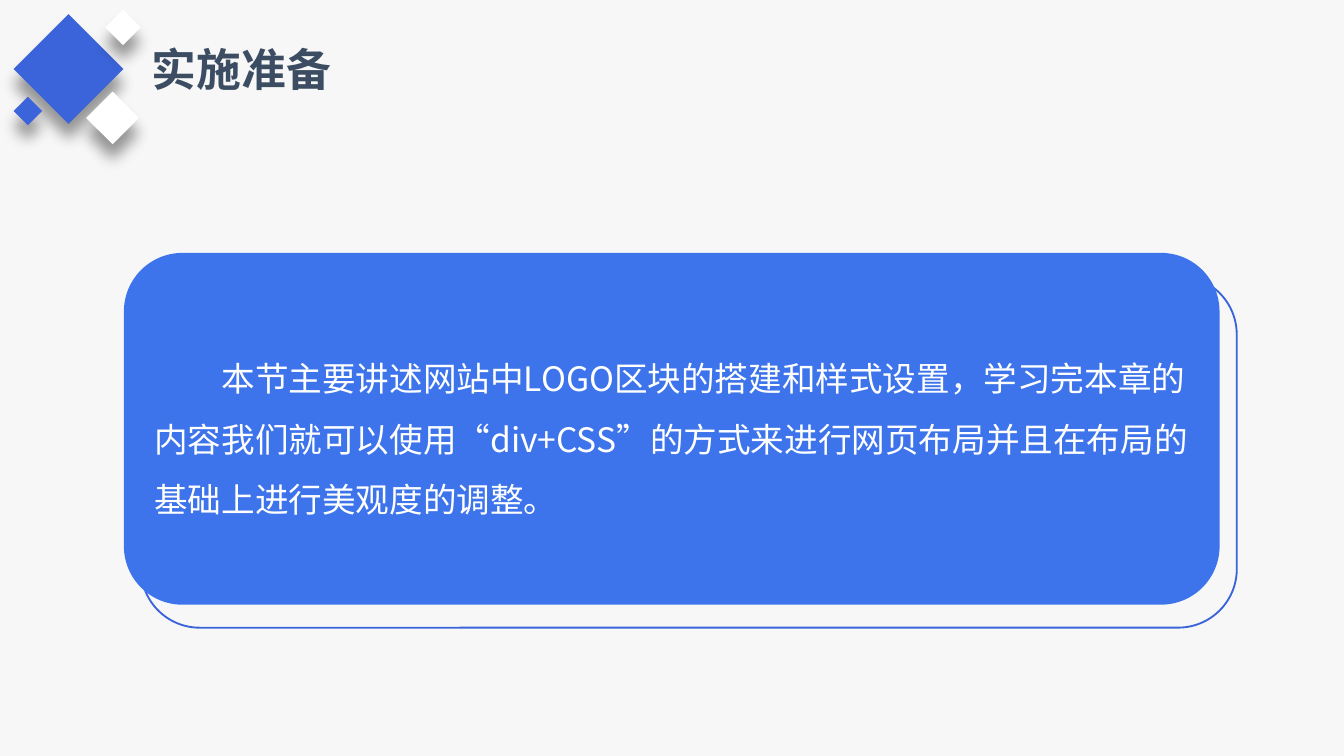
"""Build the lesson preparation slide with a diamond ornament and a text card."""
from lxml import etree
from pptx import Presentation
from pptx.dml.color import RGBColor
from pptx.enum.shapes import MSO_SHAPE
from pptx.enum.text import MSO_ANCHOR, MSO_AUTO_SIZE, PP_ALIGN
from pptx.oxml.ns import qn
from pptx.util import Pt

RECTANGLE = MSO_SHAPE.RECTANGLE
ROUNDED = MSO_SHAPE.ROUNDED_RECTANGLE
TOP, MIDDLE = MSO_ANCHOR.TOP, MSO_ANCHOR.MIDDLE
LEFT = PP_ALIGN.LEFT
NO_AUTOFIT, GROW = MSO_AUTO_SIZE.NONE, MSO_AUTO_SIZE.SHAPE_TO_FIT_TEXT

TITLE = "实施准备"
BODY = (
    "本节主要讲述网站中LOGO区块的搭建和样式设置，学习完本章的内容"
    "我们就可以使用“div+CSS”的方式来进行网页布局并且在布局的基础上进行美观度的调整。"
)

THEME = {
    "font": "Noto Sans CJK SC",
    "background": "F7F7F7",
    "accent": "3B64DA",
    "card": "3D74EB",
    "title": "3C4D63",
    "light": "FFFFFF",
    "shadow": "000000",
    "title_size": 24,
    "body_size": 18,
}

SLIDE_SIZE = (720, 405)
TITLE_BOX = (74.2, 18.7, 110.9, 36)
CARD_BOX = (66.4, 135.5, 587, 188.5)
FRAME_OFFSET = (9.2, 12.3)
DIAMONDS = [
    {"center": (36.7, 37), "side": 41.6, "color": "accent"},
    {"center": (60.3, 63.2), "side": 20, "color": "light"},
    {"center": (65.9, 14.7), "side": 13.5, "color": "light"},
    {"center": (14.9, 59.5), "side": 10.8, "color": "accent"},
]
SHADOW = {"blurRad": Pt(8), "dist": Pt(8), "dir": 90 * 60000}
SHADOW_ALPHA = 40000


def color_of(name):
    """Return the theme color with this name."""
    return RGBColor.from_string(THEME[name])


def add_block(slide, kind, box, fill=None, line=None):
    """Add a flat shape with an optional fill and outline."""
    shape = slide.shapes.add_shape(kind, *map(Pt, box))
    shape.shadow.inherit = False
    if fill:
        shape.fill.solid()
        shape.fill.fore_color.rgb = color_of(fill)
    else:
        shape.fill.background()
    if line:
        shape.line.color.rgb = color_of(line)
        shape.line.width = Pt(1)
    else:
        shape.line.fill.background()
    return shape


def add_drop_shadow(shape):
    """Give a shape a soft shadow that falls straight down."""
    effects = shape._element.spPr.find(qn("a:effectLst"))
    attributes = {key: str(value) for key, value in SHADOW.items()}
    shadow = etree.SubElement(
        effects, qn("a:outerShdw"), **attributes, algn="t", rotWithShape="0"
    )
    color = etree.SubElement(shadow, qn("a:srgbClr"), val=THEME["shadow"])
    etree.SubElement(color, qn("a:alpha"), val=str(SHADOW_ALPHA))


def write_text(shape, text, *, size, color, bold=False, wrap=True, anchor=TOP,
               autosize=NO_AUTOFIT, indent=0, spacing=1.0):
    """Write one formatted paragraph into a shape."""
    frame = shape.text_frame
    frame.word_wrap = wrap
    frame.auto_size = autosize
    frame.vertical_anchor = anchor
    paragraph = frame.paragraphs[0]
    paragraph.alignment = LEFT
    paragraph.line_spacing = spacing
    properties = paragraph._p.get_or_add_pPr()
    properties.set("marL", "0")
    properties.set("indent", str(Pt(indent)))
    run = paragraph.add_run()
    run.text = text
    run.font.name = THEME["font"]
    run.font.size = Pt(THEME[size])
    run.font.bold = bold
    run.font.color.rgb = color_of(color)
    etree.SubElement(run.font._element, qn("a:ea"), typeface=THEME["font"])


def add_diamond(slide, center, side, color):
    """Add a square turned by 45 degrees around its center."""
    left, top = (value - side / 2 for value in center)
    diamond = add_block(slide, RECTANGLE, (left, top, side, side), fill=color)
    diamond.rotation = 45
    add_drop_shadow(diamond)


def main():
    """Assemble the slide and save it."""
    presentation = Presentation()
    presentation.slide_width, presentation.slide_height = map(Pt, SLIDE_SIZE)
    slide = presentation.slides.add_slide(presentation.slide_layouts[6])
    slide.background.fill.solid()
    slide.background.fill.fore_color.rgb = color_of("background")

    left, top, width, height = CARD_BOX
    frame_box = (left + FRAME_OFFSET[0], top + FRAME_OFFSET[1], width, height)
    add_block(slide, ROUNDED, frame_box, line="accent")

    title = slide.shapes.add_textbox(*map(Pt, TITLE_BOX))
    write_text(title, TITLE, size="title_size", color="title", bold=True,
               wrap=False, autosize=GROW)

    for diamond in DIAMONDS:
        add_diamond(slide, **diamond)

    card = add_block(slide, ROUNDED, CARD_BOX, fill="card")
    write_text(card, BODY, size="body_size", color="light", anchor=MIDDLE,
               indent=36, spacing=1.5)

    presentation.save("out.pptx")


if __name__ == "__main__":
    main()
